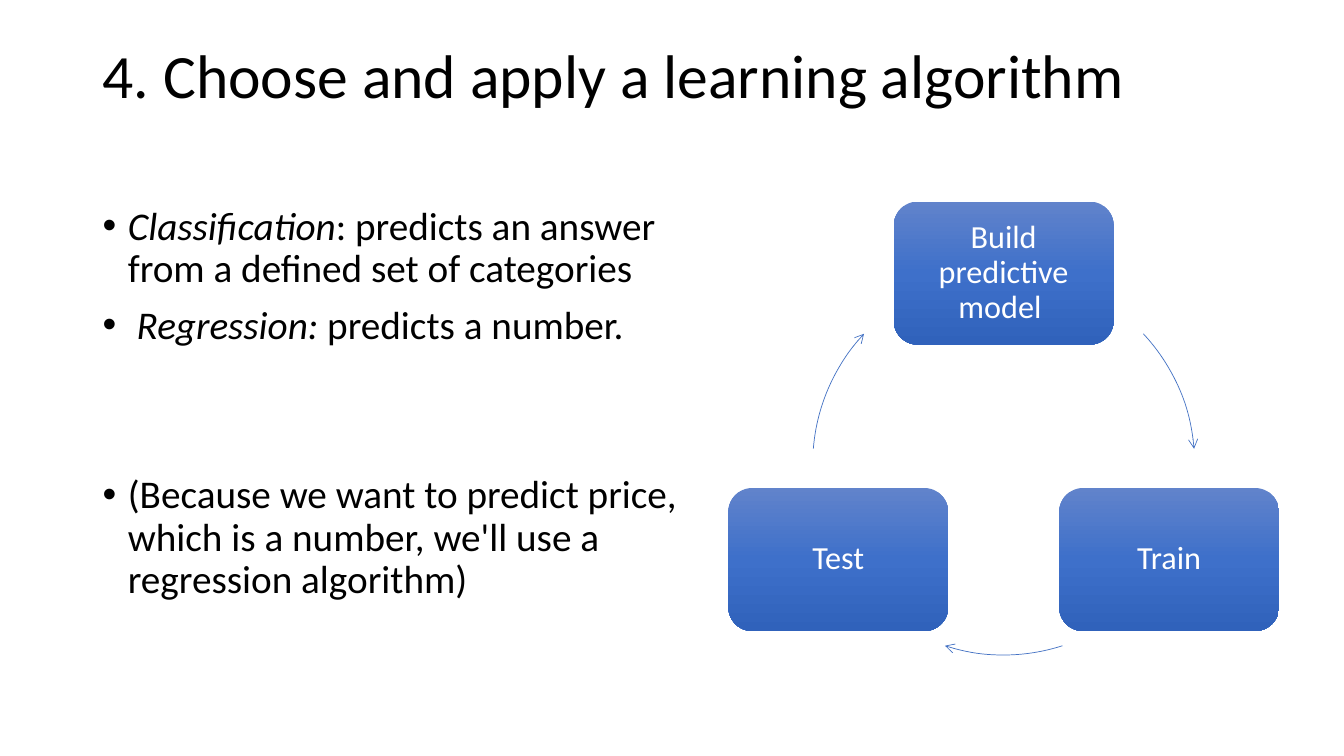
from copy import deepcopy
from math import cos, radians, sin

from pptx import Presentation
from pptx.dml.color import RGBColor
from pptx.enum.shapes import MSO_SHAPE as Preset
from pptx.enum.text import MSO_ANCHOR as Anchor, PP_ALIGN as Align
from pptx.oxml.ns import qn
from pptx.oxml.xmlchemy import OxmlElement
from pptx.util import Inches, Pt

WIDTH, HEIGHT = 13.33, 7.5
FONT = "Calibri"
BLACK = RGBColor(0x00, 0x00, 0x00)
WHITE = RGBColor(0xFF, 0xFF, 0xFF)
ARROW_BLUE = RGBColor(0x44, 0x72, 0xC4)
NODE_GRADIENT = (
    RGBColor(0x61, 0x83, 0xCB),
    RGBColor(0x3E, 0x70, 0xCA),
    RGBColor(0x30, 0x62, 0xBB),
)
LINE_SPACING = 0.9

TITLE = "4. Choose and apply a learning algorithm"
BULLETS = (
    (0, "Classification", ": predicts an answer from a defined set of categories"),
    (10, " Regression:", " predicts a number."),
    (91, "", "(Because we want to predict price, which is a number, we'll use a regression algorithm)"),
)
STEPS = ("Build predictive model ", "Train", "Test")
ARROW_ANGLES = ((317, 355.4), (72.1, 107.9), (184.6, 223))


def style_font(font, size, color):
    """Apply the slide's typeface with a size and colour."""
    font.name, font.size, font.color.rgb = FONT, Pt(size), color


def add_text_box(slide, box):
    """Add a wrapping text box and return its text frame."""
    text_frame = slide.shapes.add_textbox(*map(Inches, box)).text_frame
    text_frame.word_wrap = True
    return text_frame


def add_title(slide, box):
    """Write the slide title at the top of its box."""
    text_frame = add_text_box(slide, box)
    text_frame.text = TITLE
    paragraph = text_frame.paragraphs[0]
    paragraph.line_spacing = LINE_SPACING
    style_font(paragraph.runs[0].font, 44, BLACK)


def add_bullets(slide, box):
    """Write the bulleted list with italic lead terms."""
    text_frame = add_text_box(slide, box)
    for index, (space, term, explanation) in enumerate(BULLETS):
        paragraph = text_frame.add_paragraph() if index else text_frame.paragraphs[0]
        properties = paragraph._p.get_or_add_pPr()
        properties.set("marL", str(Inches(0.25)))
        properties.set("indent", str(-Inches(0.25)))
        bullet_font = OxmlElement("a:buFont")
        bullet_font.set("typeface", "Arial")
        bullet = OxmlElement("a:buChar")
        bullet.set("char", "•")
        properties.extend((bullet_font, bullet))
        paragraph.line_spacing = LINE_SPACING
        paragraph.space_before = Pt(space)
        for text, italic in ((term, True), (explanation, False)):
            if text:
                run = paragraph.add_run()
                run.text = text
                style_font(run.font, 28, BLACK)
                run.font.italic = italic


def add_step(slide, box, label):
    """Add one rounded gradient box of the cycle."""
    shape = slide.shapes.add_shape(Preset.ROUNDED_RECTANGLE, *map(Inches, box))
    shape.shadow.inherit = False
    shape.line.fill.background()
    shape.fill.gradient()
    shape.fill.gradient_angle = 270
    stop_list = shape._element.spPr.find(qn("a:gradFill")).find(qn("a:gsLst"))
    stop_list.append(deepcopy(stop_list[0]))
    for index, (stop, color) in enumerate(zip(shape.fill.gradient_stops, NODE_GRADIENT)):
        stop.position = index / 2
        stop.color.rgb = color
    text_frame = shape.text_frame
    text_frame.word_wrap = True
    text_frame.vertical_anchor = Anchor.MIDDLE
    text_frame.margin_left = text_frame.margin_right = Inches(0.17)
    text_frame.margin_top = text_frame.margin_bottom = Inches(0.17)
    text_frame.text = label
    paragraph = text_frame.paragraphs[0]
    paragraph.alignment = Align.CENTER
    paragraph.line_spacing = LINE_SPACING
    style_font(paragraph.runs[0].font, 23, WHITE)


def add_arc_arrow(slide, box, angles):
    """Add an arc between two angles with an arrowhead at its end."""
    shape = slide.shapes.add_shape(Preset.ARC, *map(Inches, box))
    shape.shadow.inherit = False
    shape.fill.background()
    shape.line.color.rgb = ARROW_BLUE
    shape.line.width = Pt(0.5)
    for index, angle in enumerate(angles):
        shape.adjustments[index] = angle * 0.6
    head = OxmlElement("a:tailEnd")
    head.set("type", "arrow")
    shape.line._get_or_add_ln().append(head)


def add_cycle(slide, box):
    """Space the steps evenly on a ring and join them with arcs."""
    left, top, width, height = box
    step_width, step_height = width * 0.4, height * 0.333
    radius = (height - step_height) / 1.5
    center_x, center_y = left + width / 2, top + step_height / 2 + radius
    ring = (center_x - radius, center_y - radius, 2 * radius, 2 * radius)
    for index, (label, angles) in enumerate(zip(STEPS, ARROW_ANGLES)):
        turn = radians(360 / len(STEPS) * index - 90)
        step_left = center_x + radius * cos(turn) - step_width / 2
        step_top = center_y + radius * sin(turn) - step_height / 2
        add_step(slide, (step_left, step_top, step_width, step_height), label)
        add_arc_arrow(slide, ring, angles)


def main():
    """Build and save the slide."""
    presentation = Presentation()
    presentation.slide_width, presentation.slide_height = Inches(WIDTH), Inches(HEIGHT)
    slide = presentation.slides.add_slide(presentation.slide_layouts[6])
    add_title(slide, (0.92, 0.4, 11.5, 1.45))
    add_bullets(slide, (0.92, 2, 5.9, 4.5))
    add_cycle(slide, (7.23, 2, 5.45, 4.26))
    presentation.save("out.pptx")


if __name__ == "__main__":
    main()
